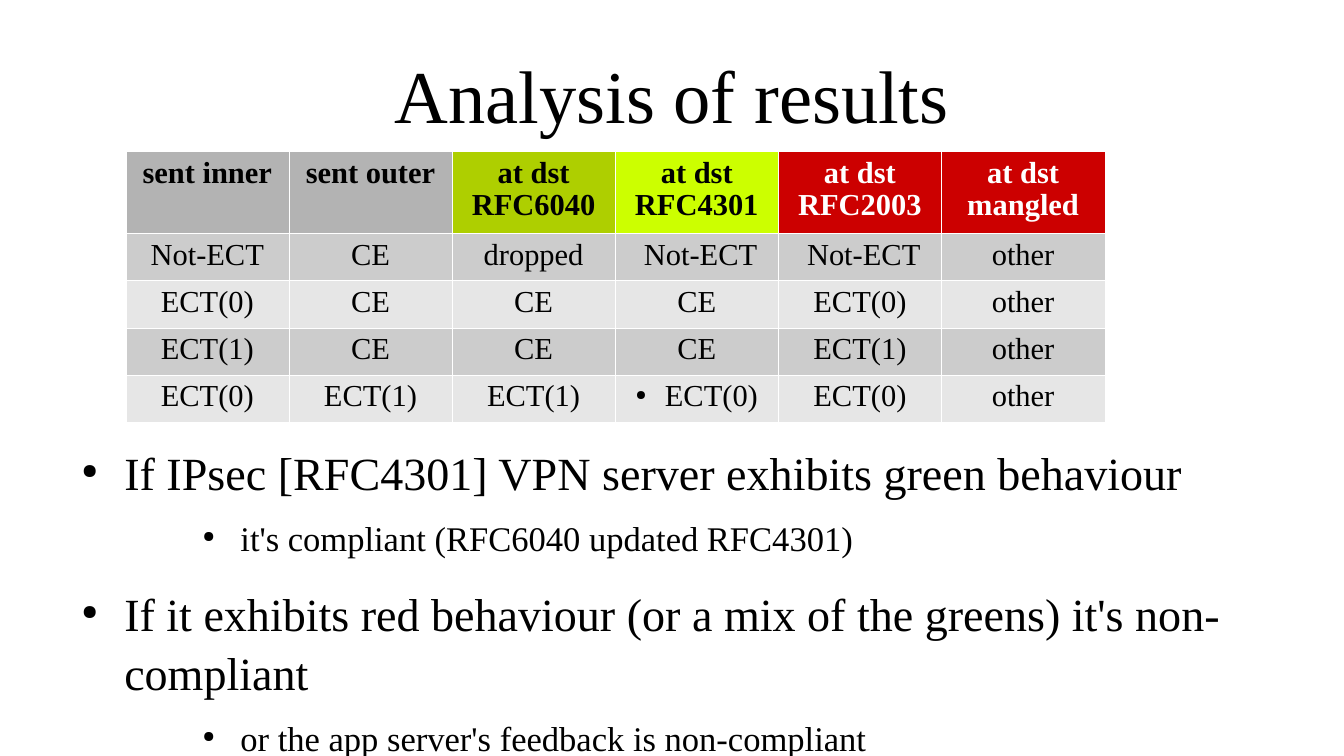
"""Build the slide that sets tunnel results against the ECN standards."""
from dataclasses import dataclass

from lxml.etree import SubElement
from pptx import Presentation
from pptx.dml.color import RGBColor
from pptx.enum.text import MSO_ANCHOR, MSO_AUTO_SIZE, PP_ALIGN
from pptx.oxml.ns import qn
from pptx.util import Cm, Pt


@dataclass(frozen=True)
class Theme:
    face: str = "Times New Roman"
    ink: str = "000000"
    white: str = "FFFFFF"
    gray: str = "B3B3B3"
    olive: str = "AECF00"
    lime: str = "CCFF00"
    red: str = "CC0000"
    bands: tuple = ("E6E6E6", "CCCCCC")
    title: float = 44
    cell: float = 18
    point: float = 27.2
    detail: float = 20.4


theme = Theme()


def style(para, size, color=theme.ink, bold=False):
    font = para.font
    font.name, font.size, font.bold = theme.face, Pt(size), bold
    font.color.rgb = RGBColor.from_string(color)


def bullet(para, left, hang):
    props = para._p.get_or_add_pPr()
    props.set("marL", str(Cm(left)))
    props.set("indent", str(-Cm(hang)))
    tint = SubElement(props, qn("a:buClr"))
    SubElement(tint, qn("a:srgbClr"), val=theme.ink)
    SubElement(props, qn("a:buSzPct"), val="45000")
    SubElement(props, qn("a:buChar"), char="●")


deck = Presentation()
deck.slide_width, deck.slide_height = Cm(28), Cm(15.75)
slide = deck.slides.add_slide(deck.slide_layouts[5])

title = slide.shapes.title
title.left, title.top, title.width, title.height = Cm(1.4), Cm(0.64), Cm(25.2), Cm(2.64)
frame = title.text_frame
frame.text = "Analysis of results"
frame.auto_size = MSO_AUTO_SIZE.NONE
frame.vertical_anchor = MSO_ANCHOR.MIDDLE
frame.margin_left = frame.margin_right = frame.margin_top = frame.margin_bottom = 0
frame.paragraphs[0].alignment = PP_ALIGN.CENTER
style(frame.paragraphs[0], theme.title)

points = [
    (0, "If IPsec [RFC4301] VPN server exhibits green behaviour"),
    (2, "it's compliant (RFC6040 updated RFC4301)"),
    (0, "If it exhibits red behaviour (or a mix of the greens) it's non-compliant"),
    (2, "or the app server's feedback is non-compliant"),
]
looks = {0: (theme.point, 14.2, 1.19, 0.89), 2: (theme.detail, 8.5, 3.61, 0.79)}
body = slide.shapes.add_textbox(Cm(1.4), Cm(9.2), Cm(25.2), Cm(5))
frame = body.text_frame
frame.word_wrap = True
frame.margin_left = frame.margin_right = frame.margin_top = frame.margin_bottom = 0
for index, (level, text) in enumerate(points):
    para = frame.add_paragraph() if index else frame.paragraphs[0]
    size, gap, left, hang = looks[level]
    para.text, para.level = text, level
    para.line_spacing, para.space_before = 1.06, Pt(gap)
    bullet(para, left, hang)
    style(para, size)

heads = [
    ("sent inner", theme.gray, theme.ink),
    ("sent outer", theme.gray, theme.ink),
    ("at dst RFC6040", theme.olive, theme.ink),
    ("at dst RFC4301", theme.lime, theme.ink),
    ("at dst RFC2003", theme.red, theme.white),
    ("at dst\nmangled", theme.red, theme.white),
]
results = [
    ("Not-ECT", "CE", "dropped", " Not-ECT", " Not-ECT", "other"),
    ("ECT(0)", "CE", "CE", "CE", "ECT(0)", "other"),
    ("ECT(1)", "CE", "CE", "CE", "ECT(1)", "other"),
    ("ECT(0)", "ECT(1)", "ECT(1)", "ECT(0)", "ECT(0)", "other"),
]
rows = [heads]
for index, result in enumerate(results, 1):
    rows.append([(text, theme.bands[index % 2], theme.ink) for text in result])

table = slide.shapes.add_table(len(rows), len(heads), Cm(2.62), Cm(3.15), Cm(20.4), Cm(5.54)).table
for index, row in enumerate(table.rows):
    row.height = Cm(0.97) if index else Cm(1.65)
for r, row in enumerate(rows):
    for c, (text, fill, color) in enumerate(row):
        cell = table.cell(r, c)
        cell.margin_left = cell.margin_right = Cm(0.25)
        cell.margin_top = cell.margin_bottom = Cm(0.13)
        para = cell.text_frame.paragraphs[0]
        para.text, para.alignment, para.line_spacing = text, PP_ALIGN.CENTER, 0.95
        if (r, c) == (4, 3):
            bullet(para, 0.61, 0.61)
        style(para, theme.cell, color, bold=r == 0)
        props = cell._tc.get_or_add_tcPr()
        for side in ("lnL", "lnR", "lnT", "lnB"):
            line = SubElement(props, qn(f"a:{side}"), w=str(Pt(0.06)))
            paint = SubElement(line, qn("a:solidFill"))
            SubElement(paint, qn("a:srgbClr"), val=theme.white)
        cell.fill.solid()
        cell.fill.fore_color.rgb = RGBColor.from_string(fill)

deck.save("out.pptx")
